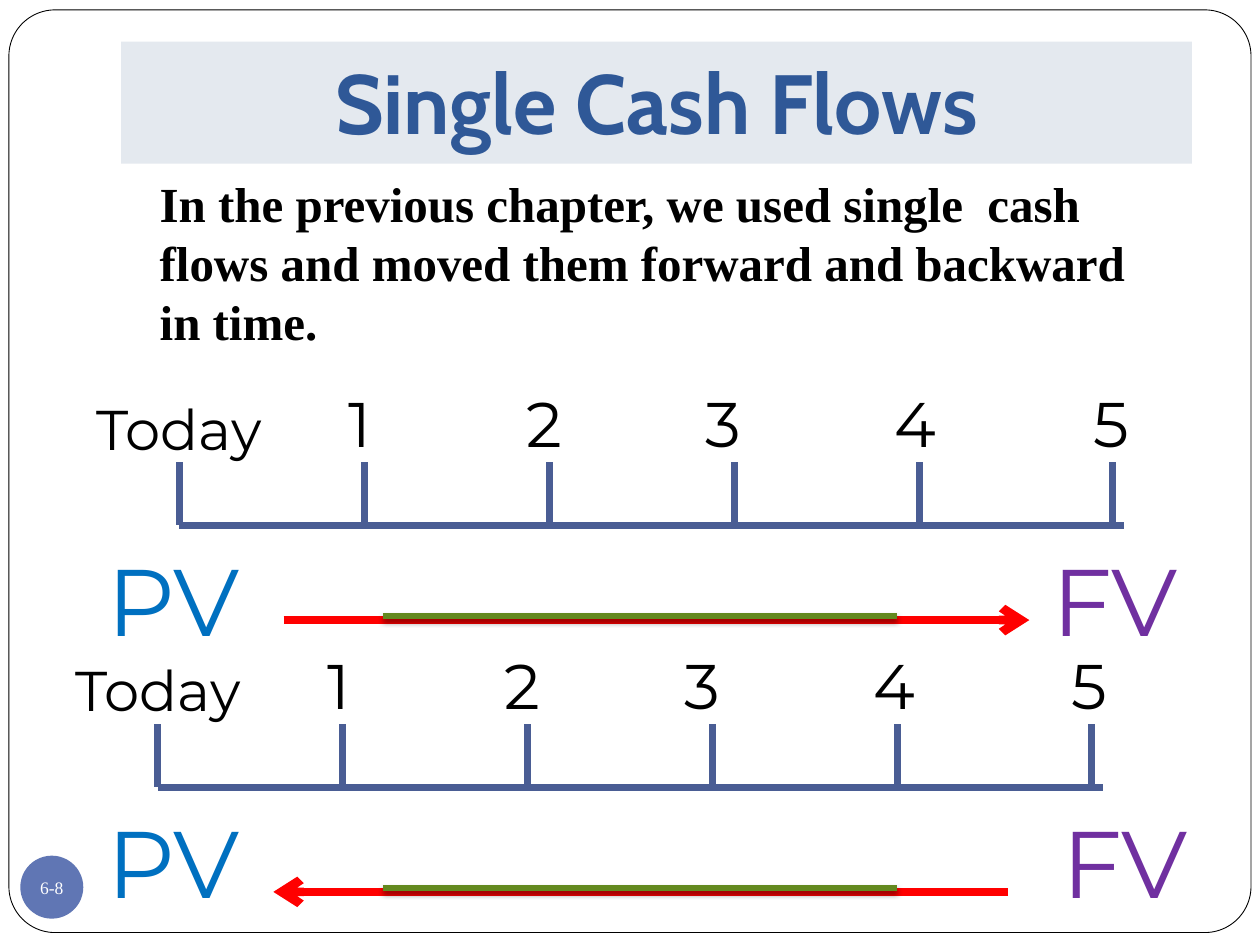
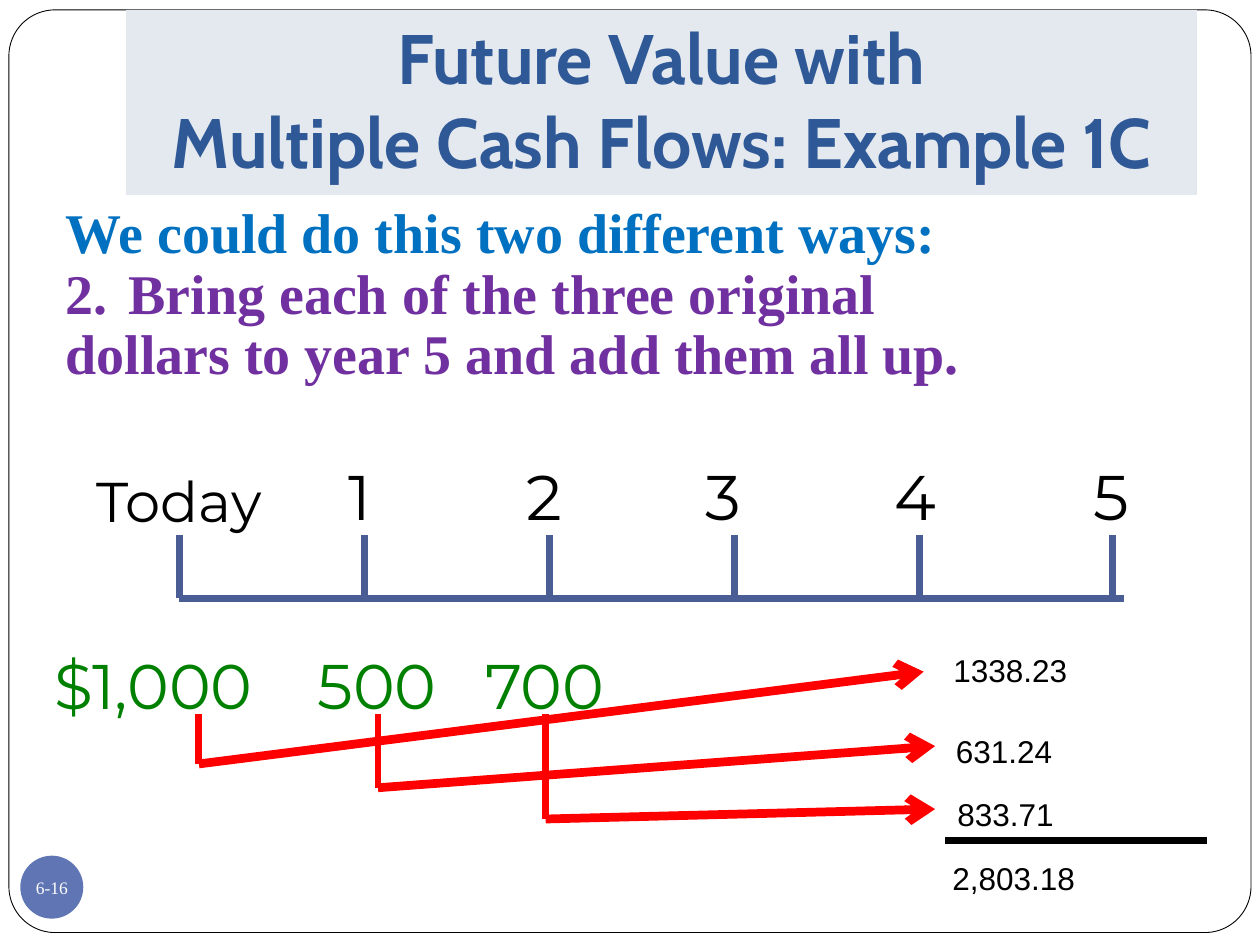
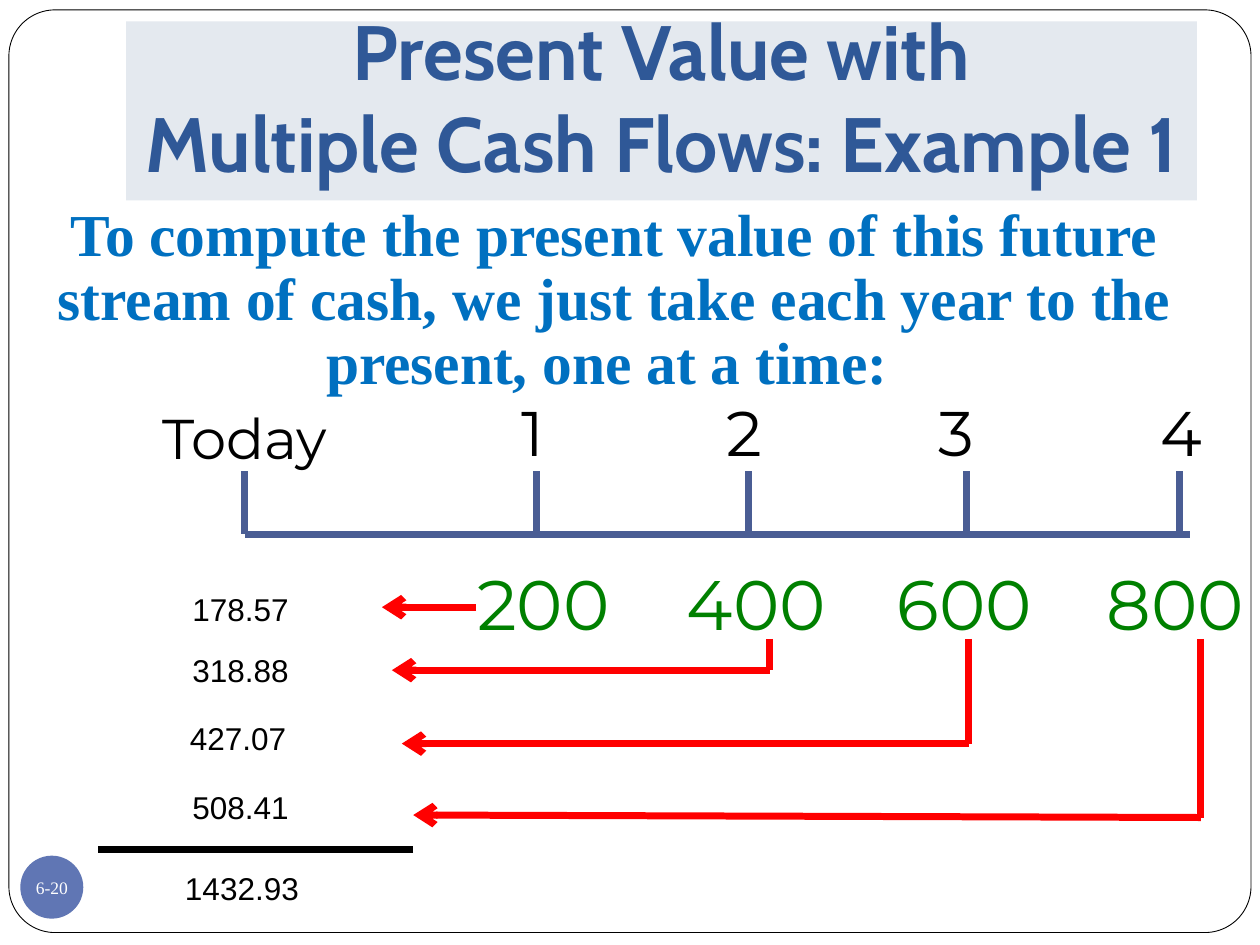
from lxml import etree
from pptx import Presentation
from pptx.dml.color import RGBColor
from pptx.enum import shapes, text
from pptx.oxml import ns
from pptx.util import Cm, Pt

COLORS = {
    "white": "FFFFFF", "black": "000000", "band": "E4E9EF", "title": "2F5897",
    "badge": "6076B4", "axis": "4A5D94", "red": "FF0000", "green": "008000",
    "olive": "63891F", "blue": "0070C0", "purple": "7030A0",
}
SERIF, DISPLAY, HEADING, PLAIN = "Times New Roman", "Montserrat", "Cabin", "Arial"
CENTER = text.PP_ALIGN.CENTER

SIX_DATES = [("1", 5.64, 5.08), ("2", 9.37, 8.66), ("3", 13.1, 12.27),
             ("4", 16.83, 16.08), ("5", 20.73, 20.09)]
FIVE_DATES = [("1", 7.8, 7.24), ("2", 12.07, 11.38), ("3", 16.46, 15.65),
              ("4", 20.75, 20.12)]


def rgb(name):
    return RGBColor.from_string(COLORS[name])


def place(sp, left, top, width, height):
    sp.left, sp.top, sp.width, sp.height = Cm(left), Cm(top), Cm(width), Cm(height)


def add_run(p, content, size, font, color, bold=False):
    r = p.add_run()
    r.text = content
    r.font.size = Pt(size)
    r.font.name = font
    r.font.bold = bold
    r.font.color.rgb = rgb(color)


def add_lines(p, lines, *style):
    for i, content in enumerate(lines):
        if i:
            p.add_line_break()
        add_run(p, content, *style)


def add_text(parent, box, paragraphs, size, font, bold=False, align=None, spacing=None):
    tf = parent.add_textbox(*map(Cm, box)).text_frame
    tf.word_wrap = True
    tf.auto_size = text.MSO_AUTO_SIZE.SHAPE_TO_FIT_TEXT
    for i, (lines, color) in enumerate(paragraphs):
        p = tf.add_paragraph() if i else tf.paragraphs[0]
        p.alignment = align
        p.line_spacing = spacing
        add_lines(p, lines, size, font, color, bold)


def add_line(parent, start, end, color, width, arrow=False, shadow=False):
    c = parent.add_connector(shapes.MSO_CONNECTOR.STRAIGHT, *map(Cm, start + end))
    c.line.color.rgb = rgb(color)
    c.line.width = Pt(width)
    props = c.element.spPr
    if arrow:
        etree.SubElement(props.get_or_add_ln(), ns.qn("a:tailEnd"), type="arrow")
    effects = etree.SubElement(props, ns.qn("a:effectLst"))
    if shadow:
        outer = etree.SubElement(effects, ns.qn("a:outerShdw"), blurRad="38100",
                                 dist="25400", dir="5400000", rotWithShape="0")
        tint = etree.SubElement(outer, ns.qn("a:srgbClr"), val=COLORS["black"])
        etree.SubElement(tint, ns.qn("a:alpha"), val="50000")


def add_frame(s, layout):
    sp = s.shapes.add_shape(shapes.MSO_SHAPE.ROUNDED_RECTANGLE,
                            Cm(0.18), Cm(0.2), Cm(25.04), Cm(18.6))
    sp.adjustments[0] = 0.05
    sp.shadow.inherit = False
    sp.fill.solid()
    sp.fill.fore_color.rgb = rgb("white")
    sp.line.color.rgb = rgb("black")
    sp.line.width = Pt(0.5)
    layout.shapes.element.append(sp.element)


def add_badge(s, number):
    sp = s.shapes.add_shape(shapes.MSO_SHAPE.OVAL, Cm(0.41), Cm(17.25), Cm(1.27), Cm(1.27))
    sp.shadow.inherit = False
    sp.fill.solid()
    sp.fill.fore_color.rgb = rgb("badge")
    sp.line.fill.background()
    tf = sp.text_frame
    tf.word_wrap = False
    tf.vertical_anchor = text.MSO_ANCHOR.MIDDLE
    tf.margin_left = tf.margin_right = tf.margin_top = tf.margin_bottom = 0
    p = tf.paragraphs[0]
    p.alignment = CENTER
    add_run(p, number, 10, SERIF, "white")


def add_title(s, box, lines, size):
    sp = s.shapes.title
    place(sp, *box)
    sp.fill.solid()
    sp.fill.fore_color.rgb = rgb("band")
    tf = sp.text_frame
    tf.word_wrap = True
    tf.auto_size = text.MSO_AUTO_SIZE.NONE
    tf.vertical_anchor = text.MSO_ANCHOR.BOTTOM
    tf.margin_left = tf.margin_right = tf.margin_bottom = Cm(0.25)
    tf.margin_top = Cm(0.13)
    p = tf.paragraphs[0]
    p.alignment = CENTER
    add_lines(p, lines, size, HEADING, "title", True)


def new_slide(prs, number, title_box, title_lines, title_size):
    s = prs.slides.add_slide(prs.slide_layouts[5])
    add_title(s, title_box, title_lines, title_size)
    add_badge(s, number)
    return s


def add_timeline(s, left, top, dates):
    group = s.shapes.add_group_shape().shapes
    origin, tick_top, axis = 1.91, top + 1.7, top + 2.97
    add_line(group, (left + origin, axis), (left + origin + 19.05, axis), "axis", 4)
    for tick in [origin] + [tick for _, tick, _ in dates]:
        add_line(group, (left + tick, tick_top), (left + tick, axis), "axis", 4)
    add_text(group, (left, top + 0.2, 4.45, 1.62), [(["Today"], "black")], 32, DISPLAY)
    for label, _, offset in dates:
        add_text(group, (left + offset, top, 1.5, 1.8), [([label], "black")], 36, DISPLAY)


def add_value_row(s, left, top, fv_offset, start, end, drop):
    for label, offset, color in [("PV", 0, "blue"), ("FV", fv_offset, "purple")]:
        add_text(s.shapes, (left + offset, top, 3.8, 2.57), [([label], color)], 54, DISPLAY)
    y = top + drop
    add_line(s.shapes, (left + start, y), (left + end, y), "red", 5, arrow=True)
    add_line(s.shapes, (left + 5.81, y - 0.08), (left + 16.17, y - 0.08),
             "olive", 3, shadow=True)


def add_cash_flows(s, left, top, amounts, size, elbow_top, elbows, width, sums, rule):
    for label, x in amounts:
        add_text(s.shapes, (left + x, top, 5 if "," in label else 3.6, 1.8),
                 [([label], "green")], size, DISPLAY)
    for x, bottom, end_x, end_y in elbows:
        corner = (left + x, top + bottom)
        add_line(s.shapes, (left + x, top + elbow_top), corner, "red", 4)
        add_line(s.shapes, corner, (left + end_x, top + end_y), "red", width, arrow=True)
    for label, x, y in sums:
        add_text(s.shapes, (left + x, top + y, 3.56, 1.02), [([label], "black")], 18, PLAIN)
    start, end, y = rule
    add_line(s.shapes, (left + start, top + y), (left + end, top + y), "black", 4)


def single_flows(prs):
    s = new_slide(prs, "6-8", (2.44, 0.84, 21.59, 2.46), ["Single Cash Flows"], 48)
    add_text(s.shapes, (2.97, 3.38, 20.52, 3.84),
             [(["In the previous chapter, we used single  cash flows and moved them "
                "forward and backward in time."], "black")], 28, SERIF, True)
    add_timeline(s, 1.7, 7.62, SIX_DATES)
    add_timeline(s, 1.27, 12.9, SIX_DATES)
    add_value_row(s, 1.91, 10.8, 19.05, 3.81, 18.84, 1.7)
    add_value_row(s, 1.91, 16.08, 19.25, 18.41, 3.6, 1.9)
    return s


def future_value(prs):
    s = new_slide(prs, "6-16", (2.54, 0.2, 21.59, 3.73),
                  ["Future Value with", "Multiple Cash Flows: Example 1C"], 40)
    add_text(s.shapes, (1.07, 4.01, 23.7, 3.96),
             [(["We could do this two different ways:"], "blue"),
              (["2.\tBring each of the three original",
                "dollars to year 5 and add them all up."], "purple")],
             32, SERIF, True, spacing=0.9)
    add_timeline(s, 1.7, 9.09, SIX_DATES)
    add_cash_flows(
        s, 0.84, 12.9,
        amounts=[("$1,000", 0), ("500", 5.31), ("700", 8.69)], size=36,
        elbow_top=1.5, width=5,
        elbows=[(3.17, 2.5, 17.78, 0.64), (6.78, 2.98, 18.01, 2.14),
                (10.16, 3.61, 18.01, 3.41)],
        sums=[("1338.23", 18.13, 0.1), ("631.24", 18.18, 1.73),
              ("833.71", 18.21, 3), ("2,803.18", 18.11, 4.3)],
        rule=(23.49, 18.21, 4.04))


def present_value(prs):
    s = new_slide(prs, "6-20", (2.54, 0.43, 21.59, 3.61),
                  ["Present Value with", "Multiple Cash Flows: Example 1"], 44)
    add_text(s.shapes, (0, 4.01, 24.77, 4.14),
             [(["To compute the present value of this future stream of cash, we just "
                "take each year to the present, one at a time: "], "blue")],
             34, SERIF, True, CENTER, 0.9)
    add_timeline(s, 3.02, 7.8, FIVE_DATES)
    left, top = 1.98, 11.18
    add_cash_flows(
        s, left, top,
        amounts=[(str(200 * (i + 1)), 7.39 + 4.23 * i) for i in range(4)], size=40,
        elbow_top=1.7, width=4,
        elbows=[(13.54, 2.33, 5.92, 2.33), (17.55, 3.81, 6.12, 3.81),
                (22.23, 5.3, 6.35, 5.25)],
        sums=[("178.57", 1.65, 0.58), ("318.88", 1.65, 1.82), ("427.07", 1.6, 3.2),
              ("508.41", 1.65, 4.59), ("1432.93", 1.5, 6.22)],
        rule=(6.35, 0, 5.94))
    add_line(s.shapes, (left + 7.62, top + 1.06), (left + 5.72, top + 1.06),
             "red", 4, arrow=True)


def main():
    prs = Presentation()
    prs.slide_width, prs.slide_height = Cm(25.4), Cm(19.05)
    first = single_flows(prs)
    add_frame(first, prs.slide_layouts[5])
    future_value(prs)
    present_value(prs)
    prs.save("out.pptx")


if __name__ == "__main__":
    main()
